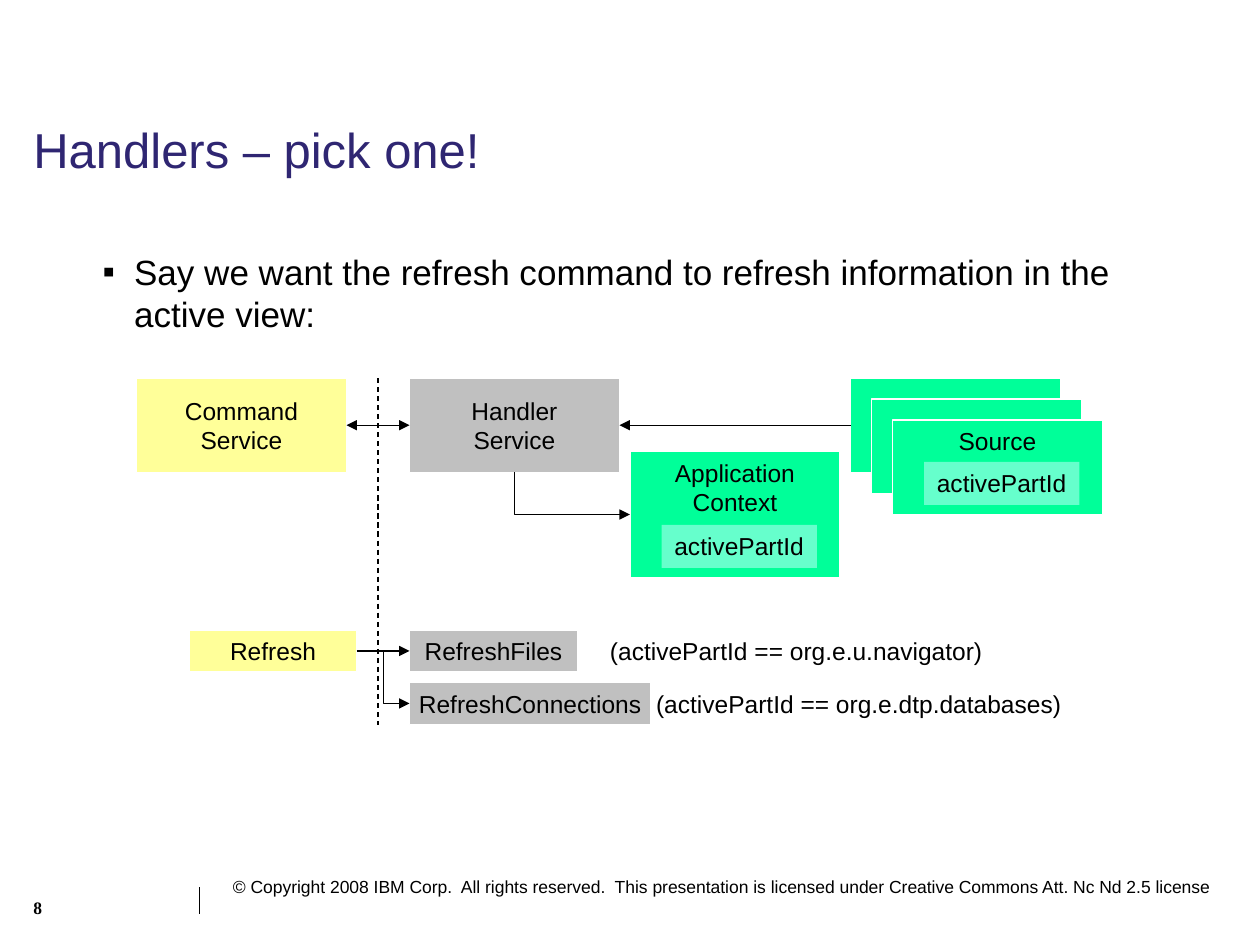
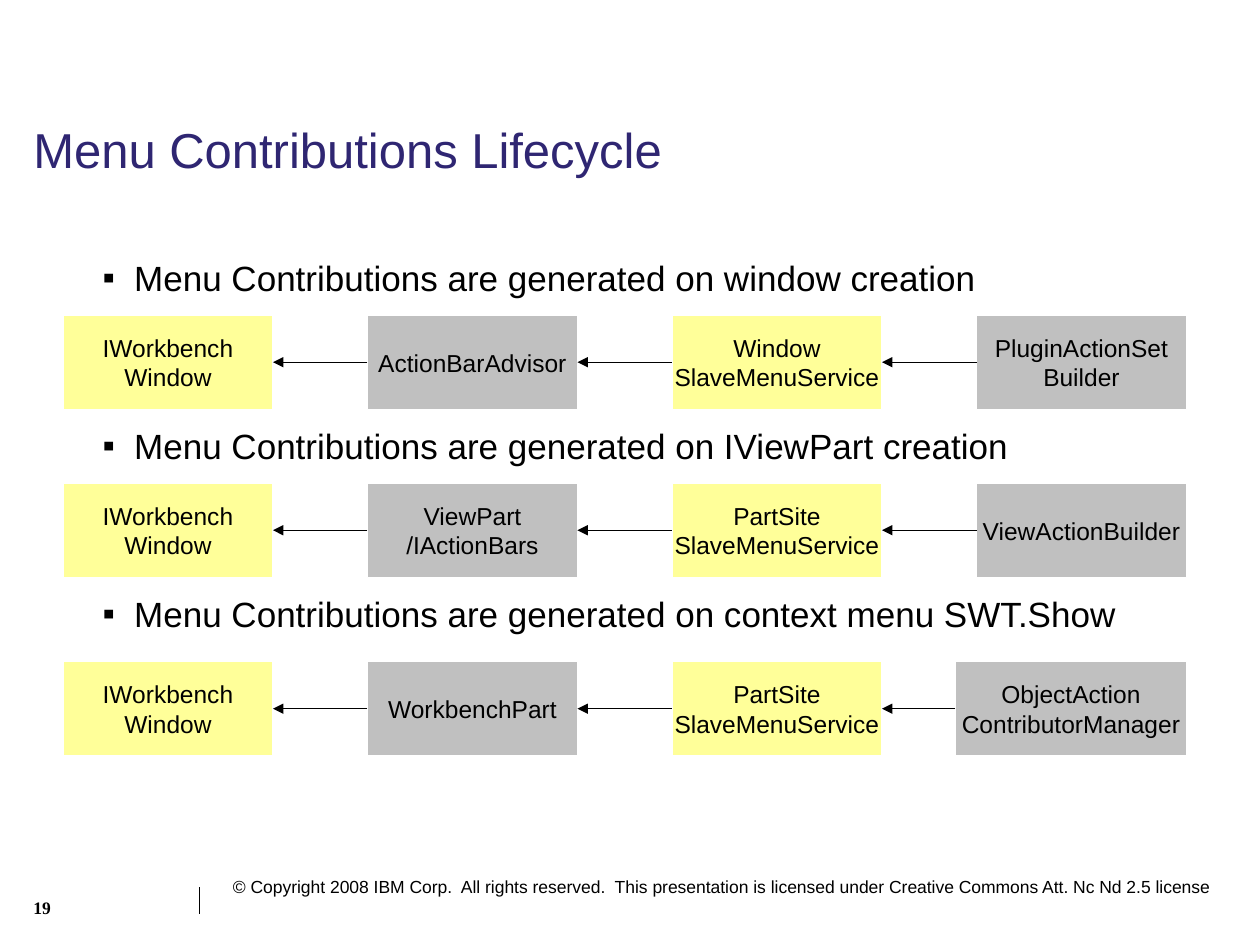
"""Builds two slides on command handlers and menu contributions, on a grid of 120 columns by 90 rows."""
import lxml.etree
import pptx
import pptx.dml.color
import pptx.enum.dml
import pptx.enum.shapes
import pptx.enum.text
import pptx.oxml.ns
import pptx.util

CELL = pptx.util.Inches(1) // 12
BLACK, WHITE, NAVY = "000000", "FFFFFF", "2F2672"
YELLOW, GRAY, GREEN, MINT = "FFFF99", "C0C0C0", "00FF99", "66FFCC"
COPYRIGHT = (
    "© Copyright 2008 IBM Corp.  All rights reserved.  "
    "This presentation is licensed under Creative Commons Att. Nc Nd 2.5 license"
)
LEFT, RIGHT = 1, 3
NO_CORNERS = (0, 0, 0, 0)
color_of = pptx.dml.color.RGBColor.from_string
straight = pptx.enum.shapes.MSO_CONNECTOR.STRAIGHT
elbow = pptx.enum.shapes.MSO_CONNECTOR.ELBOW
middle = pptx.enum.text.MSO_ANCHOR.MIDDLE
top = pptx.enum.text.MSO_ANCHOR.TOP
center = pptx.enum.text.PP_ALIGN.CENTER
left = pptx.enum.text.PP_ALIGN.LEFT


def add_box(page, area, lines, fill=None, border=WHITE, anchor=top, align=center,
            wrap=False, size=14, color=BLACK, font="Arial", bold=False):
    place = [round(cells * CELL) for cells in area]
    if fill:
        box = page.shapes.add_shape(pptx.enum.shapes.MSO_SHAPE.RECTANGLE, *place)
        box.shadow.inherit = False
        box.fill.solid()
        box.fill.fore_color.rgb = color_of(fill)
        if border:
            box.line.color.rgb = color_of(border)
            box.line.width = pptx.util.Pt(0.75)
        else:
            box.line.fill.background()
    else:
        box = page.shapes.add_textbox(*place)
    frame = box.text_frame
    frame.word_wrap = wrap
    frame.vertical_anchor = anchor
    for number, line in enumerate(lines):
        para = frame.add_paragraph() if number else frame.paragraphs[0]
        para.alignment = align
        span = para.add_run()
        span.text = line
        span.font.name = font
        span.font.size = pptx.util.Pt(size)
        span.font.bold = bold
        span.font.color.rgb = color_of(color)
    return box


def add_line(page, corners, joins=(), arrows=("tailEnd",), kind=straight, dash=None):
    line = page.shapes.add_connector(kind, *[round(cells * CELL) for cells in corners])
    if joins:
        line.begin_connect(*joins[0])
        line.end_connect(*joins[1])
    line.line.color.rgb = color_of(BLACK)
    line.line.width = pptx.util.Pt(0.75)
    if dash:
        line.line.dash_style = dash
    properties = line._element.spPr
    stroke = properties.find(pptx.oxml.ns.qn("a:ln"))
    for arrow in arrows:
        lxml.etree.SubElement(stroke, pptx.oxml.ns.qn("a:" + arrow), type="triangle")
    lxml.etree.SubElement(properties, pptx.oxml.ns.qn("a:effectLst"))
    return line


deck = pptx.Presentation()
deck.slide_width = 120 * CELL
deck.slide_height = 90 * CELL

contents = [
    ("Handlers – pick one!", "8", 23.3, [
        "Say we want the refresh command to refresh information in the active view:",
    ]),
    ("Menu Contributions Lifecycle", "19", 23.8, [
        "Menu Contributions are generated on window creation",
        "Menu Contributions are generated on IViewPart creation",
        "Menu Contributions are generated on context menu SWT.Show",
    ]),
]
pages = []
for title, page_number, body_row, bullets in contents:
    page = deck.slides.add_slide(deck.slide_layouts[6])
    pages.append(page)
    add_line(page, (19, 84.5, 19, 87), arrows=())
    add_box(page, (21, 82.8, 99, 3.2), [COPYRIGHT], align=left, wrap=True, size=10)
    heading = add_box(page, (2, 11.4, 108.2, 6.6), [title],
                      align=left, wrap=True, size=28, color=NAVY)
    heading.text_frame.paragraphs[0].line_spacing = 0.9
    body = add_box(page, (8.6, body_row, 101.5, 51.2), bullets, align=left, wrap=True, size=20)
    for number, para in enumerate(body.text_frame.paragraphs):
        if number:
            para.space_before = pptx.util.Pt(72)
        layout = para._p.get_or_add_pPr()
        layout.set("marL", str(3 * CELL))
        layout.set("indent", str(-3 * CELL))
        tint = lxml.etree.SubElement(layout, pptx.oxml.ns.qn("a:buClr"))
        lxml.etree.SubElement(tint, pptx.oxml.ns.qn("a:srgbClr"), val=BLACK)
        lxml.etree.SubElement(layout, pptx.oxml.ns.qn("a:buFont"), typeface="Arial")
        lxml.etree.SubElement(layout, pptx.oxml.ns.qn("a:buChar"), char="▪")
    add_box(page, (2, 84.8, 13.2, 4.2), [page_number], align=left, wrap=True,
            size=10, font="Times New Roman", bold=True)

handlers, lifecycle = pages

refresh, refresh_files, refresh_connections, command, handler = [
    add_box(handlers, area, lines, fill, anchor=middle)
    for area, lines, fill in [
        ((18, 60, 16, 4), ["Refresh"], YELLOW),
        ((39, 60, 16, 4), ["RefreshFiles"], GRAY),
        ((39, 65, 23, 4), ["RefreshConnections"], GRAY),
        ((13, 36, 20, 9), ["Command", "Service"], YELLOW),
        ((39, 36, 20, 9), ["Handler", "Service"], GRAY),
    ]
]
sources = [
    add_box(handlers, (81 + 2 * depth, 36 + 2 * depth, 20, 9), lines, GREEN)
    for depth, lines in enumerate([[], [], ["Source"]])
]
context = add_box(handlers, (60, 43, 20, 12), ["Application", "Context"], GREEN)
for column, row in [(63, 50), (88, 44)]:
    add_box(handlers, (column, row, 14.8, 4.1), ["activePartId"], MINT, border=None)
for area, condition in [
    ((56.9, 60, 37.9, 4.1), "(activePartId == org.e.u.navigator)"),
    ((61.3, 65, 41, 4.1), "(activePartId == org.e.dtp.databases)"),
]:
    add_box(handlers, area, [condition])

add_line(handlers, NO_CORNERS, [(refresh, RIGHT), (refresh_files, LEFT)])
add_line(handlers, NO_CORNERS, [(refresh, RIGHT), (refresh_connections, LEFT)], kind=elbow)
add_line(handlers, NO_CORNERS, [(sources[0], LEFT), (handler, RIGHT)])
add_line(handlers, NO_CORNERS, [(command, RIGHT), (handler, LEFT)], ("headEnd", "tailEnd"))
corner = add_line(handlers, NO_CORNERS, [(context, LEFT), (handler, 2)], ("headEnd",), elbow)
corner._element.spPr.prstGeom.set("prst", "bentConnector2")
add_line(handlers, (36, 36, 36, 69), arrows=(), dash=pptx.enum.dml.MSO_LINE.DASH)

window = ["IWorkbench", "Window"]
part_menu = ["PartSite", "SlaveMenuService"]
chains = [
    (30, 20, [window, ["ActionBarAdvisor"], ["Window", "SlaveMenuService"],
              ["PluginActionSet", "Builder"]]),
    (46, 20, [window, ["ViewPart", "/IActionBars"], part_menu, ["ViewActionBuilder"]]),
    (63, 22, [window, ["WorkbenchPart"], part_menu, ["ObjectAction", "ContributorManager"]]),
]
for row, last_width, steps in chains:
    previous = None
    for step, lines in enumerate(steps):
        width = last_width if step == 3 else 20
        area = (26 + 29 * step - width, row, width, 9)
        box = add_box(lifecycle, area, lines, [YELLOW, GRAY][step % 2], anchor=middle)
        if previous:
            add_line(lifecycle, NO_CORNERS, [(box, LEFT), (previous, RIGHT)])
        previous = box

deck.save("out.pptx")
